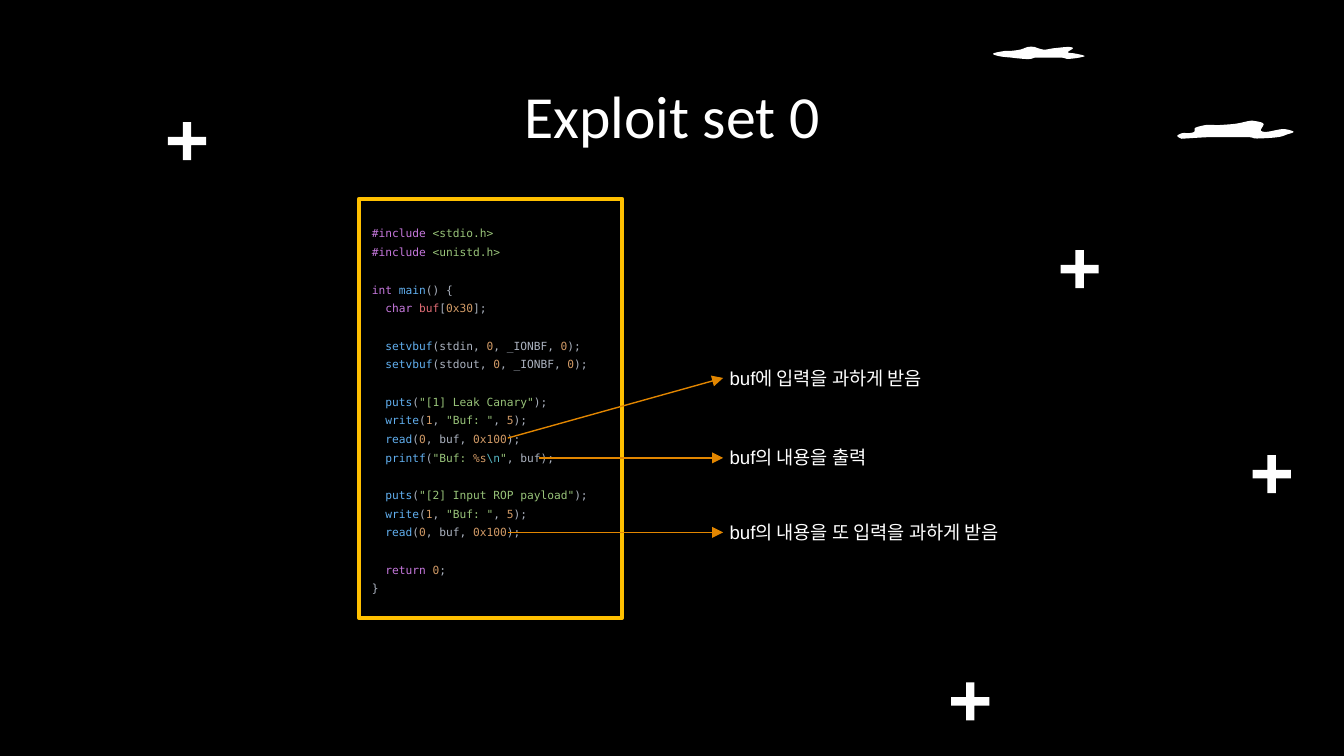
import pptx
import pptx.util
import pptx.dml.color
import pptx.enum.shapes
import pptx.enum.text
import pptx.oxml
from dataclasses import dataclass
from pptx.util import Pt


@dataclass(frozen=True)
class Theme:
    background: str = "000000"
    white: str = "FFFFFF"
    frame: str = "FFC000"
    arrow: str = "E28600"
    # Syntax colours
    keyword: str = "C678DD"
    string: str = "98C379"
    plain: str = "ABB2BF"
    function: str = "61AFEF"
    variable: str = "E06C75"
    number: str = "D19A66"
    escape: str = "56B6C2"
    # Fonts and sizes
    title_font: str = "Calibri"
    code_font: str = "DejaVu Sans Mono"
    label_font: str = "Arial"
    title_size: float = 32
    code_size: float = 6
    code_leading: float = 10
    label_size: float = 10


THEME = Theme()
K, S, P, F, V, N, E = (THEME.keyword, THEME.string, THEME.plain, THEME.function,
                       THEME.variable, THEME.number, THEME.escape)

# Cloud outlines: grid width, grid height, points
WIDE_CLOUD = (90, 13, [
    (56, 0), (60, 0), (67, 2), (65, 7), (70, 8), (82, 6), (90, 8), (85, 10), (78, 12),
    (62, 13), (56, 12), (41, 12), (25, 12), (7, 13), (4, 13), (1, 11), (5, 9), (10, 9),
    (14, 8), (15, 5), (23, 3), (29, 3), (34, 3), (46, 2)])
SMALL_CLOUD = (71, 9, [
    (32, 0), (35, 1), (40, 2), (47, 1), (58, 0), (62, 1), (58, 4), (64, 5), (71, 7),
    (59, 9), (53, 8), (40, 8), (33, 8), (29, 9), (24, 9), (14, 8), (5, 7), (0, 5),
    (9, 3), (13, 3), (21, 2), (27, 0)])


def color(value):
    return pptx.dml.color.RGBColor.from_string(value)


def setvbuf(stream):
    return [(F, "  setvbuf"), (P, f"({stream}, "), (N, "0"),
            (P, ", _IONBF, "), (N, "0"), (P, ");")]


def puts(message):
    return [(F, "  puts"), (P, "("), (S, f'"{message}"'), (P, ");")]


WRITE = [(F, "  write"), (P, "("), (N, "1"), (P, ", "), (S, '"Buf: "'),
         (P, ", "), (N, "5"), (P, ");")]
READ = [(F, "  read"), (P, "("), (N, "0"), (P, ", buf, "), (N, "0x100"), (P, ");")]

# Code blocks, parted by one line of space
CODE = [
    [[(K, "#include "), (S, "<stdio.h>")],
     [(K, "#include "), (S, "<unistd.h>")]],
    [[(K, "int "), (F, "main"), (P, "() {")],
     [(K, "  char "), (V, "buf"), (P, "["), (N, "0x30"), (P, "];")]],
    [setvbuf("stdin"), setvbuf("stdout")],
    [puts("[1] Leak Canary"), WRITE, READ,
     [(F, "  printf"), (P, "("), (S, '"Buf: '), (N, "%s"), (E, "\\n"), (S, '"'),
      (P, ", buf);")]],
    [puts("[2] Input ROP payload"), WRITE, READ],
    [[(K, "  return "), (N, "0"), (P, ";")],
     [(P, "}")]],
]

# Notes: text, label top, label width, arrow start x, start y, end y
NOTES = [
    ("buf에 입력을 과하게 받음", 193, 166, 272, 234.7, 202.5),
    ("buf의 내용을 출력", 235.5, 166, 288.7, 245.3, 245.3),
    ("buf의 내용을 또 입력을 과하게 받음", 275.5, 186, 272, 285.2, 285.2),
]


def add_text_box(page, box, inset_x=7.2, inset_y=3.6):
    frame = page.shapes.add_textbox(*map(Pt, box)).text_frame
    frame.word_wrap = True
    frame.margin_left = frame.margin_right = Pt(inset_x)
    frame.margin_top = frame.margin_bottom = Pt(inset_y)
    return frame


def add_span(para, text, font, size, value):
    span = para.add_run()
    span.text = text
    span.font.name = font
    span.font.size = Pt(size)
    span.font.color.rgb = color(value)


def paint_white(shape):
    shape.shadow.inherit = False
    shape.fill.solid()
    shape.fill.fore_color.rgb = color(THEME.white)
    shape.line.fill.background()


def add_plus(page, box):
    plus = page.shapes.add_shape(pptx.enum.shapes.MSO_SHAPE.CROSS, *map(Pt, box))
    plus.adjustments[0] = 0.39
    paint_white(plus)


def smooth_outline(points, steps=5):
    """Closed Catmull-Rom curve through the points."""
    curve = []
    for i in range(len(points)):
        a, b, c, d = (points[(i + k) % len(points)] for k in (-1, 0, 1, 2))
        for step in range(steps):
            t = step / steps
            curve.append(tuple(
                q + t / 2 * (r - p + t * (2 * p - 5 * q + 4 * r - s
                                          + t * (3 * (q - r) + s - p)))
                for p, q, r, s in zip(a, b, c, d)))
    return curve


def add_cloud(page, box, outline):
    left, top, width, height = box
    columns, rows, points = outline
    spots = [(Pt(left + x * width / columns), Pt(top + y * height / rows))
             for x, y in smooth_outline(points)]
    builder = page.shapes.build_freeform(*spots[0])
    builder.add_line_segments(spots[1:], close=True)
    paint_white(builder.convert_to_shape())


def add_title(page, box):
    para = add_text_box(page, box, inset_y=7.2).paragraphs[0]
    para.alignment = pptx.enum.text.PP_ALIGN.CENTER
    add_span(para, "Exploit set 0", THEME.title_font, THEME.title_size, THEME.white)


def add_code_panel(page, box):
    left, top, width, height = box
    # Listing
    text = add_text_box(page, (left, top + 8.64, width + 45, height + 12))
    para = text.paragraphs[0]
    for block_number, block in enumerate(CODE):
        for line_number, line in enumerate(block):
            if block_number or line_number:
                para = text.add_paragraph()
            para.line_spacing = Pt(THEME.code_leading)
            if block_number and not line_number:
                para.space_before = Pt(THEME.code_leading)
            for value, words in line:
                add_span(para, words, THEME.code_font, THEME.code_size, value)
    # Frame
    frame = page.shapes.add_shape(pptx.enum.shapes.MSO_SHAPE.RECTANGLE, *map(Pt, box))
    frame.shadow.inherit = False
    frame.fill.background()
    frame.line.color.rgb = color(THEME.frame)
    frame.line.width = Pt(2)


def add_arrow(page, start, end):
    arrow = page.shapes.add_connector(
        pptx.enum.shapes.MSO_CONNECTOR.STRAIGHT, *map(Pt, start + end))
    arrow.line.color.rgb = color(THEME.arrow)
    arrow.line.width = Pt(0.75)
    head = pptx.oxml.parse_xml(
        '<a:tailEnd xmlns:a="http://schemas.openxmlformats.org/drawingml/2006/main"'
        ' type="triangle"/>')
    arrow.line._get_or_add_ln().append(head)
    properties = arrow._element.spPr
    properties.append(properties.makeelement(pptx.oxml.ns.qn("a:effectLst"), {}))


def add_note(page, box, text, start, end_y):
    add_arrow(page, start, (box[0] + 3.6, end_y))
    para = add_text_box(page, box).paragraphs[0]
    add_span(para, text, THEME.label_font, THEME.label_size, THEME.white)


def main():
    deck = pptx.Presentation()
    deck.slide_width, deck.slide_height = Pt(720), Pt(405)
    page = deck.slides.add_slide(deck.slide_layouts[6])
    page.background.fill.solid()
    page.background.fill.fore_color.rgb = color(THEME.background)

    # Decorations
    for left, top in [(509.6, 365.6), (671.1, 243.8), (568.2, 134), (90, 65.4)]:
        add_plus(page, (left, top, 20.4, 20.4))
    add_cloud(page, (630, 64.8, 63, 9.4), WIDE_CLOUD)
    add_cloud(page, (532, 25.2, 49, 6.4), SMALL_CLOUD)

    # Content
    add_title(page, (56.2, 35.3, 607.6, 45.4))
    add_code_panel(page, (192.2, 106.5, 141.2, 224.5))
    for text, top, width, start_x, start_y, end_y in NOTES:
        add_note(page, (383.8, top, width, 19.4), text, (start_x, start_y), end_y)

    deck.save("out.pptx")


if __name__ == "__main__":
    main()
